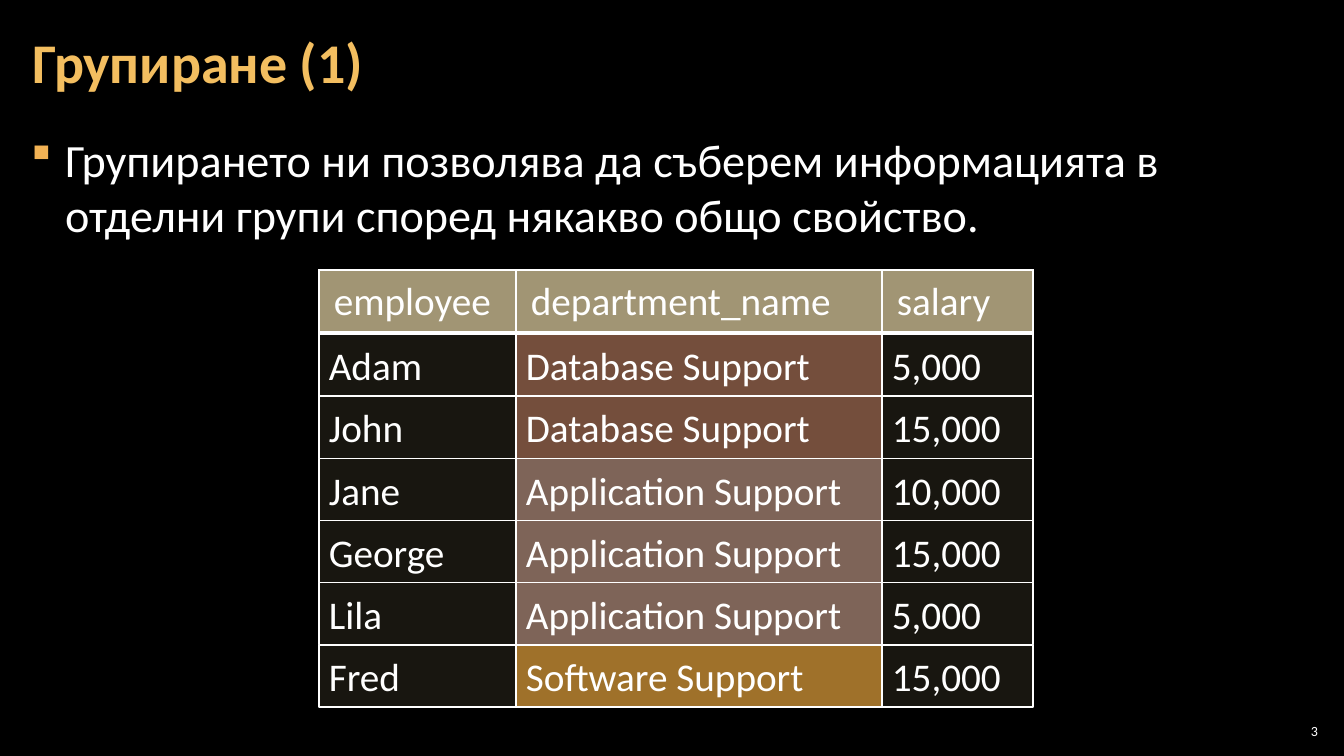
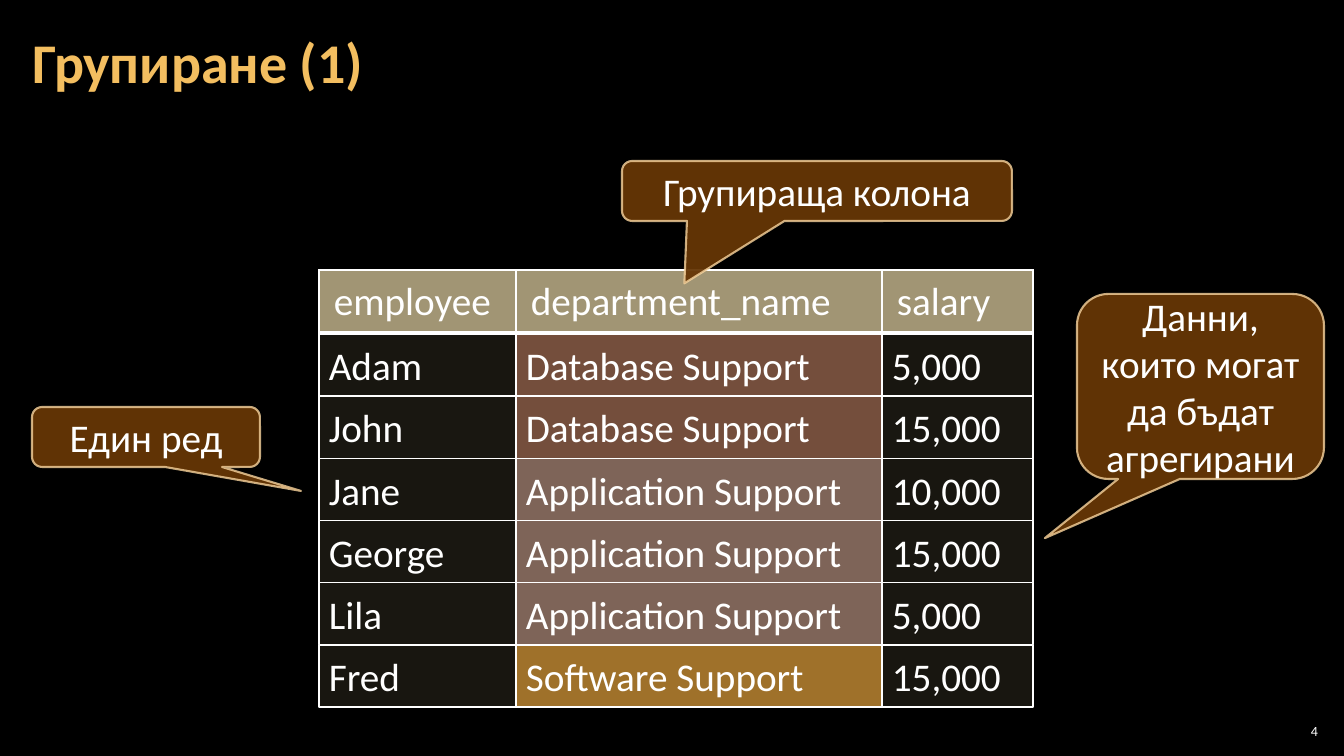
import pptx
import pptx.util
import pptx.dml.color
import pptx.enum.shapes
import pptx.enum.text
import pptx.oxml.ns
import lxml.etree

RGB = pptx.dml.color.RGBColor
ALIGN = pptx.enum.text.PP_ALIGN
MIDDLE = pptx.enum.text.MSO_ANCHOR.MIDDLE
SHAPE = pptx.enum.shapes.MSO_SHAPE

# Shared look
FONT = "Calibri"
BLACK = RGB(0x00, 0x00, 0x00)
WHITE = RGB(0xFF, 0xFF, 0xFF)
GOLD = RGB(0xF3, 0xBE, 0x60)
BULLET = RGB(0xF2, 0xB2, 0x54)
HEADER_FILL = RGB(0xA1, 0x95, 0x74)
CELL_FILL = RGB(0x7C, 0x71, 0x54)
SOLID_CELL_FILL = RGB(0x19, 0x17, 0x11)
CALLOUT_FILL = RGB(0x66, 0x36, 0x06)
CALLOUT_LINE = RGB(0xF8, 0xD4, 0x9E)
# Colour of each department's band and the rows it spans
DEPARTMENT_BANDS = [
    (RGB(0xA5, 0x64, 0x4E), 2),
    (RGB(0xB5, 0x8B, 0x80), 3),
    (RGB(0xF0, 0xA2, 0x2E), 1),
]

TITLE = "Групиране (1)"
TABLE_LEFT, HEADER_TOP, HEADER_HEIGHT = 319, 270, 63
ROWS_TOP, ROWS_HEIGHT = 334, 373
COLUMNS = [("employee", 197), ("department_name", 366), ("salary", 151)]
EMPLOYEES = [
    ("Adam", "Database Support", "5,000"),
    ("John", "Database Support", "15,000"),
    ("Jane", "Application Support", "10,000"),
    ("George", "Application Support", "15,000"),
    ("Lila", "Application Support", "5,000"),
    ("Fred", "Software Support", "15,000"),
]
# Text, box and the tip's offset from the box centre
CALLOUTS = [
    ("Групираща колона", (622, 161, 390, 60), (-0.34, 1.54)),
    ("Един ред", (32, 407, 228, 60), (0.68, 0.9)),
    ("Данни, които могат да бъдат агрегирани", (1077, 294, 247, 185), (-0.63, 0.82)),
]


def px(n):
    return pptx.util.Emu(round(n * 914400 / 100.8))


def sub(parent, tag, **attrs):
    return lxml.etree.SubElement(parent, pptx.oxml.ns.qn(tag), attrs)


def add_run(p, text, size, color=WHITE, bold=False):
    r = p.add_run()
    r.text = text
    r.font.name = FONT
    r.font.size = pptx.util.Pt(size)
    r.font.color.rgb = color
    r.font.bold = bold


def add_text(slide, box, inset):
    """Add an empty wrapping text box and return its text frame."""
    tf = slide.shapes.add_textbox(*map(px, box)).text_frame
    tf.word_wrap = True
    tf.margin_left = tf.margin_right = px(inset)
    tf.margin_top = tf.margin_bottom = px(4)
    return tf


def add_bullet(slide, box, text):
    p = add_text(slide, box, 12).paragraphs[0]
    p.space_before = p.space_after = pptx.util.Pt(6)
    pPr = p._p.get_or_add_pPr()
    pPr.set("marL", str(px(34)))
    pPr.set("indent", str(-px(34)))
    sub(sub(pPr, "a:buClr"), "a:srgbClr", val=str(BULLET))
    sub(pPr, "a:buFont", typeface="Wingdings", charset="2")
    sub(pPr, "a:buChar", char="§")
    add_run(p, text, 33)


def set_fill(fill, color, opacity=100):
    fill.solid()
    fill.fore_color.rgb = color
    if opacity < 100:
        srgb = fill._xPr.find(".//" + pptx.oxml.ns.qn("a:srgbClr"))
        sub(srgb, "a:alpha", val=str(opacity * 1000))


def set_borders(cell):
    tcPr = cell._tc.get_or_add_tcPr()
    for side, width in (("a:lnL", 1), ("a:lnR", 1), ("a:lnT", 1), ("a:lnB", 3)):
        ln = sub(tcPr, side, w=str(pptx.util.Pt(width)))
        sub(sub(ln, "a:solidFill"), "a:srgbClr", val=str(WHITE))


def add_header(slide):
    names, widths = zip(*COLUMNS)
    table = slide.shapes.add_table(
        1, len(COLUMNS), px(TABLE_LEFT), px(HEADER_TOP), px(sum(widths)), px(HEADER_HEIGHT)
    ).table
    table.horz_banding = False
    for c, (name, width) in enumerate(COLUMNS):
        table.columns[c].width = px(width)
        cell = table.cell(0, c)
        set_borders(cell)
        set_fill(cell.fill, HEADER_FILL)
        cell.margin_left = cell.margin_right = px(15)
        cell.margin_top = cell.margin_bottom = px(8)
        add_run(cell.text_frame.paragraphs[0], name, 28)


def add_box(slide, kind, box, fill, opacity):
    """Add a shape without an outline; the box is in EMU."""
    sp = slide.shapes.add_shape(kind, *box)
    sp.shadow.inherit = False
    set_fill(sp.fill, fill, opacity)
    sp.line.fill.background()
    return sp


def label(sp, text, align):
    tf = sp.text_frame
    tf.word_wrap = True
    tf.vertical_anchor = MIDDLE
    p = tf.paragraphs[0]
    p.alignment = align
    add_run(p, text, 28)


def add_employee_rows(slide, solid_rows):
    row_height = px(ROWS_HEIGHT) // len(EMPLOYEES)

    # Department bands behind the see-through cells
    department_left, department_width = TABLE_LEFT + COLUMNS[0][1], COLUMNS[1][1]
    top = px(ROWS_TOP)
    for color, span in DEPARTMENT_BANDS:
        box = (px(department_left), top, px(department_width), span * row_height)
        add_box(slide, SHAPE.RECTANGLE, box, color, 70)
        top += span * row_height

    # Cells, column by column
    left = TABLE_LEFT
    for c, (name, width) in enumerate(COLUMNS):
        for row, employee in enumerate(EMPLOYEES):
            solid = employee[0] in solid_rows and name != "department_name"
            fill, opacity = (SOLID_CELL_FILL, 100) if solid else (CELL_FILL, 20)
            box = (px(left), px(ROWS_TOP) + row * row_height, px(width), row_height)
            sp = add_box(slide, SHAPE.RECTANGLE, box, fill, opacity)
            set_fill(sp.line.fill, WHITE)
            sp.line.width = pptx.util.Pt(1)
            label(sp, employee[c], ALIGN.LEFT)
        left += width


def add_callout(slide, text, box, tip):
    kind = SHAPE.ROUNDED_RECTANGULAR_CALLOUT
    sp = add_box(slide, kind, map(px, box), CALLOUT_FILL, 95)
    for i, value in enumerate((*tip, 0.17)):
        sp.adjustments[i] = value
    set_fill(sp.line.fill, CALLOUT_LINE, 80)
    sp.line.width = pptx.util.Pt(1.5)
    label(sp, text, ALIGN.CENTER)


def add_slide(prs, number, solid_rows=()):
    """Add a slide with the shared title, page number and table."""
    slide = prs.slides.add_slide(prs.slide_layouts[6])
    tf = add_text(slide, (21, 4, 1055, 122), 12)
    tf.vertical_anchor = MIDDLE
    tf.paragraphs[0].line_spacing = 0.9
    add_run(tf.paragraphs[0], TITLE, 40, GOLD, True)

    tf = add_text(slide, (1275, 720, 47, 21), 4)
    tf.vertical_anchor = MIDDLE
    tf.paragraphs[0].alignment = ALIGN.RIGHT
    add_run(tf.paragraphs[0], str(number), 10)

    add_header(slide)
    add_employee_rows(slide, solid_rows)
    return slide


def main():
    prs = pptx.Presentation()
    prs.slide_width, prs.slide_height = px(1344), px(756)
    set_fill(prs.slide_master.background.fill, BLACK)

    # Definition of grouping
    slide = add_slide(prs, 3)
    add_bullet(
        slide,
        (19, 127, 1301, 614),
        "Групирането ни позволява да съберем информацията в "
        "отделни групи според някакво общо свойство.",
    )

    # Parts of the grouped table
    slide = add_slide(prs, 4, ("John", "George", "Lila"))
    for text, box, tip in CALLOUTS:
        add_callout(slide, text, box, tip)

    prs.save("out.pptx")


if __name__ == "__main__":
    main()
